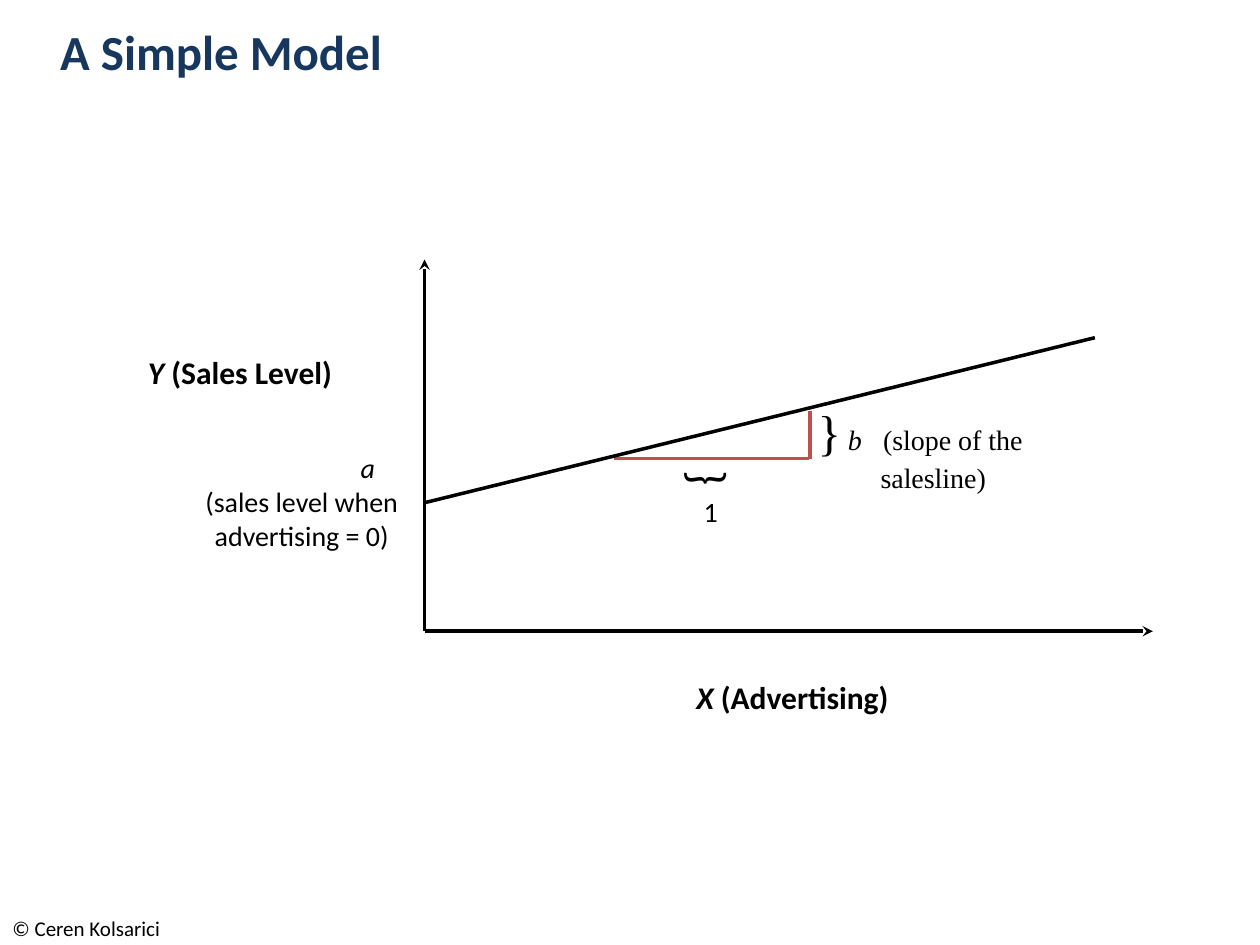
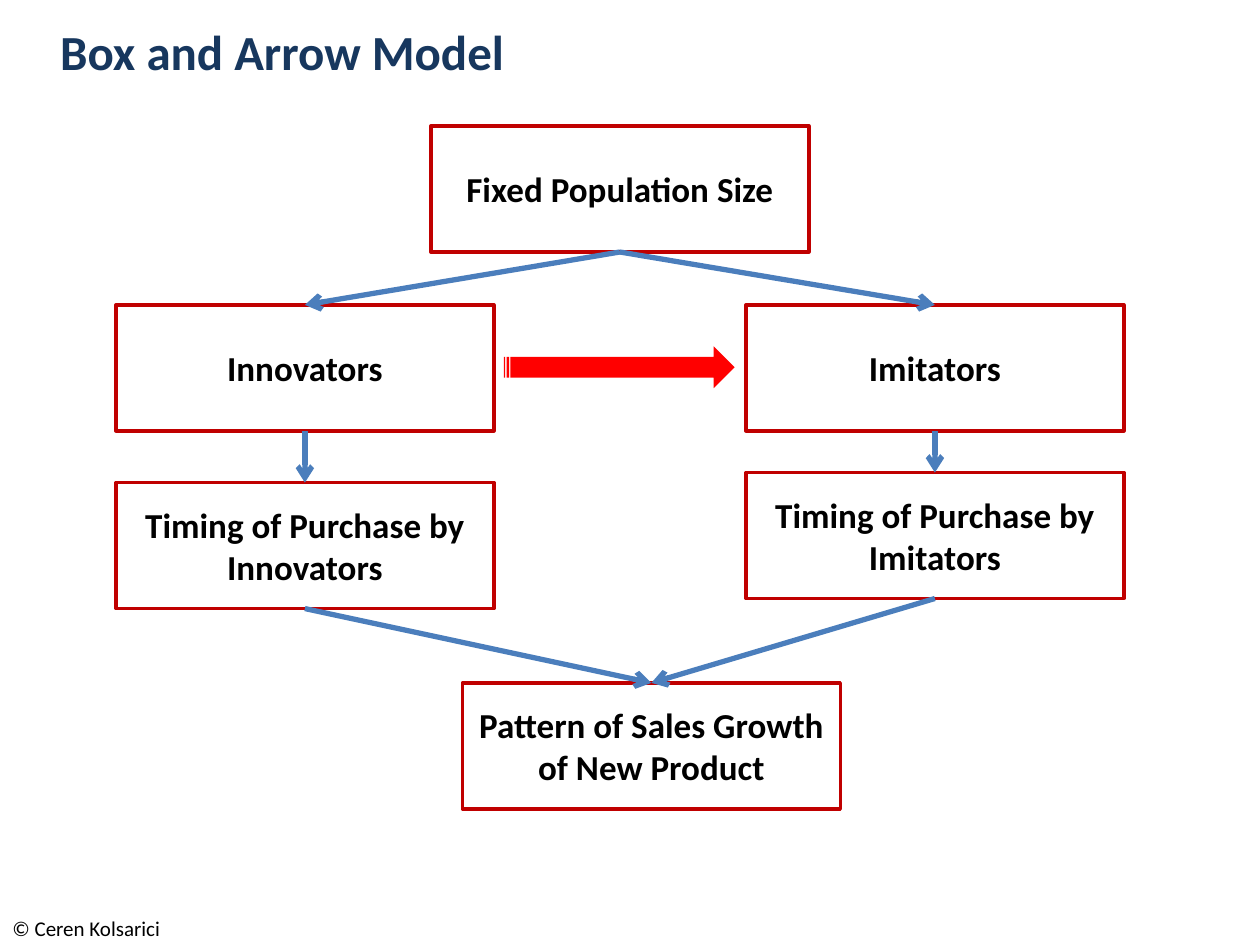
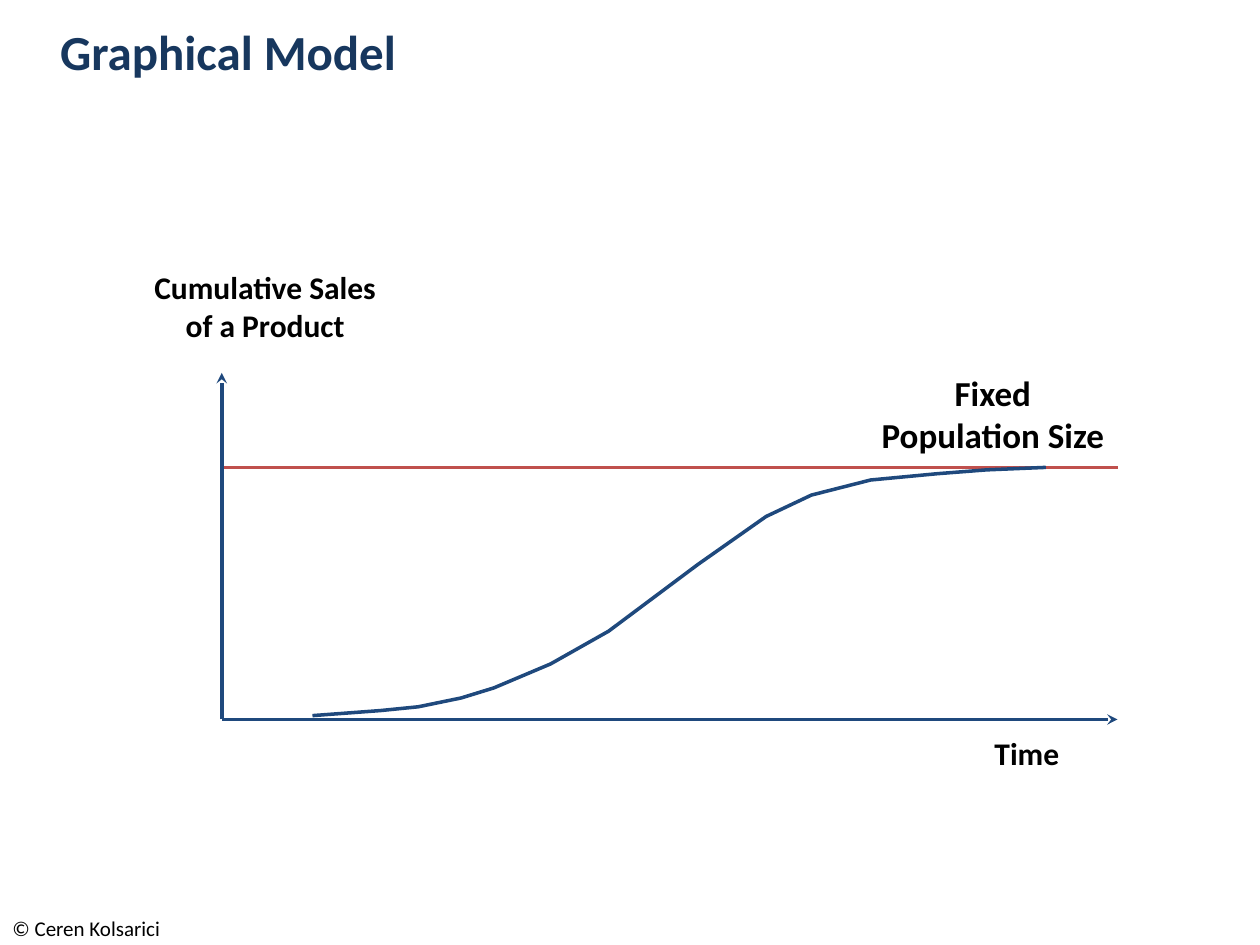
from pptx import Presentation
from pptx.dml.color import RGBColor
from pptx.enum.shapes import MSO_CONNECTOR, MSO_SHAPE
from pptx.enum.text import MSO_ANCHOR, PP_ALIGN
from pptx.oxml.ns import qn
from pptx.util import Inches, Pt
from lxml import etree

# Shared style
FONT, SERIF = "Calibri", "Times New Roman"
BLACK, TITLE_BLUE, AXIS_BLUE = "000000", "17375E", "1F497D"
ARROW_BLUE, ACCENT_RED, BOX_RED, BRIGHT_RED = "4B7EBC", "C0504D", "C00000", "FF0000"
FOOTER = "© Ceren Kolsarici"
BOX_WIDTH, BOX_HEIGHT = 3, 1
TOP, BOTTOM = 0, 2


def color(hex_code):
    return RGBColor.from_string(hex_code)


def set_line(shape, hex_code, width):
    shape.line.color.rgb = color(hex_code)
    shape.line.width = Pt(width)


def write(paragraph, content, size, bold=False, align=PP_ALIGN.CENTER,
          hex_code=BLACK, font=FONT):
    """Fill a paragraph; content is text or a list of (text, italic, size) runs."""
    paragraph.alignment = align
    paragraph.font.name = font
    paragraph.font.size = Pt(size)
    paragraph.font.bold = bold
    paragraph.font.color.rgb = color(hex_code)
    runs = [(content, False, size)] if isinstance(content, str) else content
    for text, italic, run_size in runs:
        run = paragraph.add_run()
        run.text = text
        if italic:
            run.font.italic = True
        if run_size != size:
            run.font.size = Pt(run_size)


def indent(paragraph, left, first=0):
    properties = paragraph._p.get_or_add_pPr()
    properties.set("marL", str(Inches(left)))
    properties.set("indent", str(Inches(first)))


def add_label(shapes, left, top, width, height, lines, size, wrap=True,
              anchor=MSO_ANCHOR.TOP, **style):
    """Add a text box with one paragraph for each line."""
    label = shapes.add_textbox(Inches(left), Inches(top), Inches(width), Inches(height))
    frame = label.text_frame
    frame.word_wrap = wrap
    frame.vertical_anchor = anchor
    for index, content in enumerate(lines):
        paragraph = frame.add_paragraph() if index else frame.paragraphs[0]
        write(paragraph, content, size, **style)
    return label


def add_line(shapes, start, end, hex_code, width=2, arrowhead=None):
    line = shapes.add_connector(MSO_CONNECTOR.STRAIGHT, *map(Inches, start + end))
    set_line(line, hex_code, width)
    if arrowhead:
        outline = line.line._get_or_add_ln()
        etree.SubElement(outline, qn("a:tailEnd"), type=arrowhead)
    etree.SubElement(line._element.spPr, qn("a:effectLst"))
    return line


def add_axes(shapes, origin, top, right, hex_code):
    for tip in ((origin[0], top), (right, origin[1])):
        add_line(shapes, origin, tip, hex_code, arrowhead="stealth")


def add_box(shapes, left, top, text):
    box = shapes.add_shape(MSO_SHAPE.RECTANGLE, Inches(left), Inches(top),
                           Inches(BOX_WIDTH), Inches(BOX_HEIGHT))
    box.shadow.inherit = False
    box.fill.background()
    set_line(box, BOX_RED, 2)
    box.text_frame.word_wrap = True
    box.text_frame.vertical_anchor = MSO_ANCHOR.MIDDLE
    write(box.text_frame.paragraphs[0], text, 20, bold=True)
    return box


def join_boxes(shapes, upper, lower):
    arrow = add_line(shapes, (0, 0), (1, 1), ARROW_BLUE, 3, "arrow")
    arrow.begin_connect(upper, BOTTOM)
    arrow.end_connect(lower, TOP)


def add_curve(shapes, points, hex_code):
    corners = [(Inches(x), Inches(y)) for x, y in points]
    builder = shapes.build_freeform(*corners[0])
    builder.add_line_segments(corners[1:], close=False)
    curve = builder.convert_to_shape()
    curve.shadow.inherit = False
    curve.fill.background()
    set_line(curve, hex_code, 2)


def new_slide(presentation, title):
    slide = presentation.slides.add_slide(presentation.slide_layouts[6])
    add_label(slide.shapes, 0.38, 0.05, 8.2, 0.71, [title], 28, bold=True,
              anchor=MSO_ANCHOR.MIDDLE, align=PP_ALIGN.LEFT, hex_code=TITLE_BLUE)
    add_label(slide.shapes, 0, 7.22, 5.41, 0.28, [FOOTER], 12, align=PP_ALIGN.LEFT)
    return slide


def build_simple_model(presentation):
    slide = new_slide(presentation, "A Simple Model")
    shapes = slide.shapes.add_group_shape().shapes

    # Slope triangle, axes and sales line
    add_line(shapes, (6.43, 3.26), (6.43, 3.64), ACCENT_RED)
    add_line(shapes, (4.87, 3.64), (6.42, 3.64), ACCENT_RED)
    add_axes(shapes, (3.37, 5.01), 2.06, 9.15, BLACK)
    add_line(shapes, (3.37, 3.99), (8.69, 2.68), BLACK)

    # Axis names
    add_label(shapes, 0.76, 2.75, 2.29, 0.5,
              [[("Y", True, 18), (" (Sales Level)", False, 18)]], 18, wrap=False, bold=True)
    add_label(shapes, 4.68, 5.33, 3.22, 0.5,
              [[("X", True, 18), (" (Advertising)", False, 18)]], 18, bold=True)

    # Slope, unit step and intercept
    slope = add_label(shapes, 6.39, 3.14, 1.9, 0.84,
                      [[("}", False, 28), (" b", True, 16), ("\t(slope of the", False, 16)],
                       "salesline)"], 16, align=PP_ALIGN.LEFT, font=SERIF)
    first_line, second_line = slope.text_frame.paragraphs
    indent(first_line, 0.52, -0.52)
    indent(second_line, 0.5)
    brace = add_label(shapes, 5.34, 3.51, 0.59, 0.57, ["}"], 28)
    brace.rotation = 90
    add_label(shapes, 5.34, 3.88, 0.6, 0.37, ["1"], 16)
    intercept = add_label(shapes, 1.43, 3.53, 1.93, 0.9,
                          [[("a", True, 16)], "(sales level when", "advertising = 0)"], 16)
    indent(intercept.text_frame.paragraphs[0], 1.05)


def build_box_and_arrow_model(presentation):
    shapes = new_slide(presentation, "Box and Arrow Model").shapes

    # Boxes
    left, right = 0.92, 5.92
    population = add_box(shapes, 3.42, 1, "Fixed Population Size")
    innovators = add_box(shapes, left, 2.42, "Innovators")
    imitators = add_box(shapes, right, 2.42, "Imitators")
    innovator_timing = add_box(shapes, left, 3.83, "Timing of Purchase by Innovators")
    imitator_timing = add_box(shapes, right, 3.75, "Timing of Purchase by Imitators")
    growth = add_box(shapes, 3.67, 5.42, "Pattern of Sales Growth of New Product")

    # Arrows down each branch
    for chain in ((population, innovators, innovator_timing, growth),
                  (population, imitators, imitator_timing, growth)):
        for upper, lower in zip(chain, chain[1:]):
            join_boxes(shapes, upper, lower)

    # Influence of innovators on imitators
    influence = shapes.add_shape(MSO_SHAPE.STRIPED_RIGHT_ARROW, Inches(4), Inches(2.75),
                                 Inches(1.83), Inches(0.33))
    influence.shadow.inherit = False
    influence.fill.solid()
    influence.fill.fore_color.rgb = color(BRIGHT_RED)
    influence.line.fill.background()


def build_graphical_model(presentation):
    shapes = new_slide(presentation, "Graphical Model").shapes

    # Population limit, sales curve and axes
    add_line(shapes, (1.76, 3.71), (8.87, 3.71), ACCENT_RED)
    add_curve(shapes, [(2.48, 5.68), (3.02, 5.64), (3.32, 5.61), (3.66, 5.54), (3.92, 5.46),
                       (4.37, 5.27), (4.83, 5.01), (5.54, 4.48), (6.08, 4.1), (6.44, 3.93),
                       (6.91, 3.81), (7.44, 3.76), (7.83, 3.73), (8.3, 3.71)], AXIS_BLUE)
    add_axes(shapes, (1.76, 5.71), 2.96, 8.87, AXIS_BLUE)

    # Labels
    for left, top, width, height, lines, size in (
            (7.68, 5.78, 0.94, 0.5, ["Time"], 18),
            (6.86, 2.9, 2.04, 0.77, ["Fixed", "Population Size"], 20),
            (0.77, 2.08, 2.67, 0.9, ["Cumulative Sales", "of a Product"], 18)):
        add_label(shapes, left, top, width, height, lines, size, wrap=False, bold=True)


def main():
    presentation = Presentation()
    presentation.slide_width = Inches(10)
    presentation.slide_height = Inches(7.5)
    build_simple_model(presentation)
    build_box_and_arrow_model(presentation)
    build_graphical_model(presentation)
    presentation.save("out.pptx")


if __name__ == "__main__":
    main()
